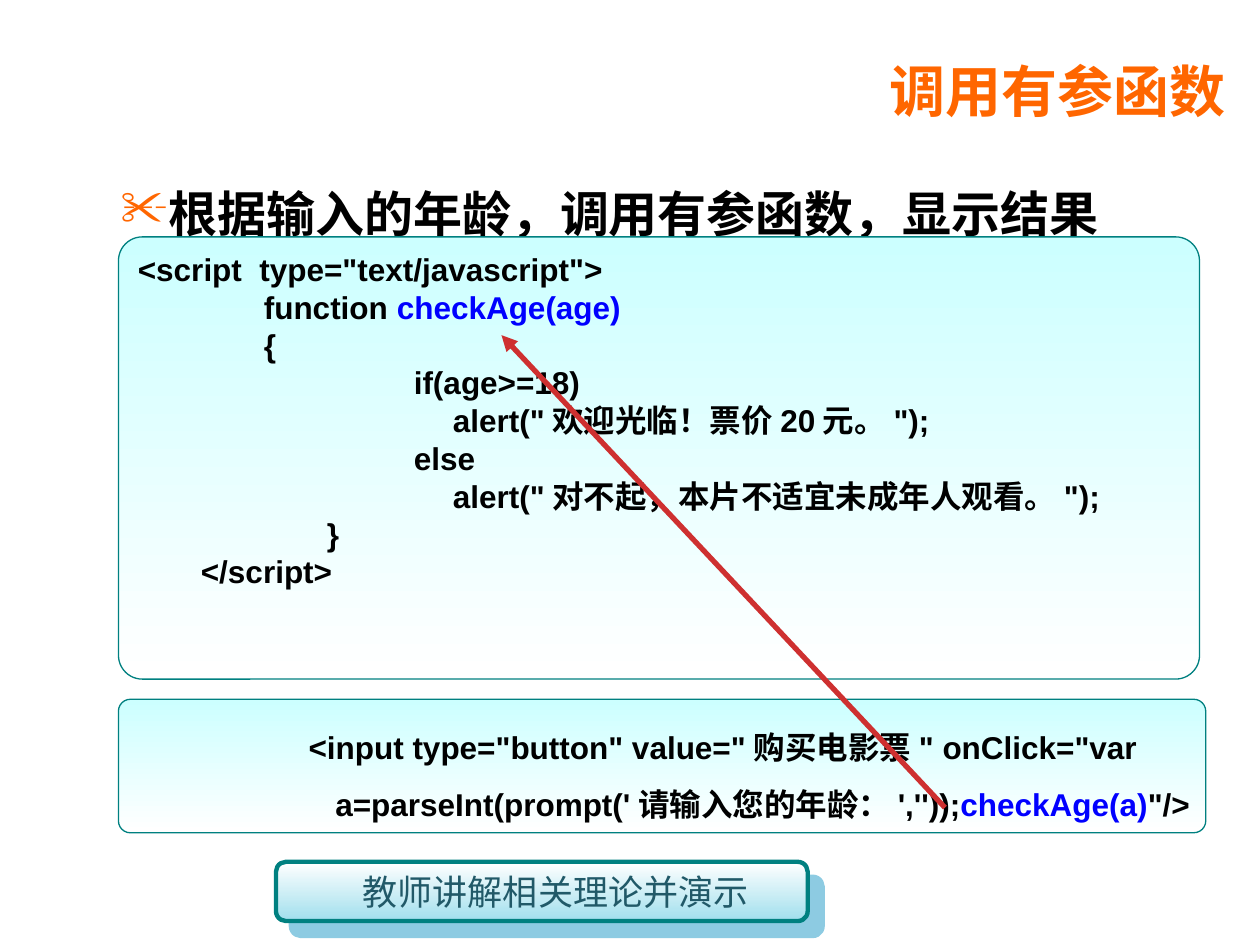
from dataclasses import dataclass

from lxml.etree import SubElement
from pptx import Presentation
from pptx.dml.color import RGBColor
from pptx.enum.shapes import MSO_CONNECTOR, MSO_SHAPE
from pptx.enum.text import MSO_ANCHOR, PP_ALIGN
from pptx.oxml.ns import qn
from pptx.util import Inches, Pt

COLORS = {
    "orange": "FF6600", "black": "000000", "blue": "0000FF",
    "aqua": "CCFFFF", "white": "FFFFFF", "teal": "008080",
    "red": "CE3030", "sky": "A1DFED", "shadow": "1C99C6", "slate": "215968",
}
LATIN, CJK = "Arial", "Noto Sans CJK SC"


@dataclass(frozen=True)
class Line:
    runs: tuple[tuple[str, str], ...]
    indent: float = 0
    right: float = 0


@dataclass(frozen=True)
class CodeBox:
    left: float
    top: float
    width: float
    height: float
    radius: float
    lines: tuple[Line, ...]
    align: PP_ALIGN
    anchor: MSO_ANCHOR
    spacing: float | Pt


def code(text: str, indent: float = 0, call: str = "", tail: str = "",
         right: float = 0) -> Line:
    runs = ((text, "black"), (call, "blue"), (tail, "black"))
    return Line(tuple(run for run in runs if run[0]), indent, right)


CODE_BOXES = (
    CodeBox(0.94, 1.88, 8.58, 3.51, 0.054, (
        code('<script  type="text/javascript">'),
        code("function ", 1, "checkAge(age)"),
        code("{", 1),
        code("if(age>=18)", 2.19),
        code('alert("欢迎光临！票价20元。");', 2.5),
        code("else", 2.19),
        code('alert("对不起，本片不适宜未成年人观看。");', 2.5),
        code("}", 1.5),
        code("</script>", 0.5),
    ), PP_ALIGN.LEFT, MSO_ANCHOR.TOP, Pt(21.6)),
    CodeBox(0.94, 5.55, 8.63, 1.06, 0.09, (
        code('<input type="button" value="购买电影票" onClick="var', right=0.42),
        code("a=parseInt(prompt('请输入您的年龄：',''));", 0, "checkAge(a)", '"/>'),
    ), PP_ALIGN.RIGHT, MSO_ANCHOR.MIDDLE, 1.5),
)


def rgb(name: str) -> RGBColor:
    return RGBColor.from_string(COLORS[name])


def add_run(p, text: str, size: float, color: str, bold: bool = True,
            font: str = LATIN) -> None:
    r = p.add_run()
    r.text = text
    r.font.size, r.font.bold, r.font.name = Pt(size), bold, font
    r.font.color.rgb = rgb(color)
    SubElement(r.font._element, qn("a:ea"), typeface=CJK)


def style_panel(sp, top: str, bottom: str, line_width: float) -> None:
    sp.shadow.inherit = False
    sp.fill.gradient()
    sp.fill.gradient_angle = 270
    for stop, color in zip(sp.fill.gradient_stops, (top, bottom)):
        stop.color.rgb = rgb(color)
    sp.line.color.rgb = rgb("teal")
    sp.line.width = Pt(line_width)


def add_text_box(shapes, left: float, top: float, width: float, height: float):
    tf = shapes.add_textbox(Inches(left), Inches(top), Inches(width),
                            Inches(height)).text_frame
    tf.word_wrap = True
    return tf.paragraphs[0]


def add_code_box(s, box: CodeBox) -> None:
    sp = s.shapes.add_shape(MSO_SHAPE.ROUNDED_RECTANGLE, Inches(box.left),
                            Inches(box.top), Inches(box.width), Inches(box.height))
    sp.adjustments[0] = box.radius
    style_panel(sp, "aqua", "white", 0.75)
    tf = sp.text_frame
    tf.word_wrap = True
    tf.vertical_anchor = box.anchor
    for i, line in enumerate(box.lines):
        p = tf.add_paragraph() if i else tf.paragraphs[0]
        p.alignment, p.line_spacing = box.align, box.spacing
        pPr = p._p.get_or_add_pPr()
        pPr.set("marL", str(Inches(line.indent)))
        pPr.set("marR", str(Inches(line.right)))
        for text, color in line.runs:
            add_run(p, text, 18, color)


def add_title(s) -> None:
    title = s.shapes.title
    title.left, title.top = Inches(0.83), Inches(0.36)
    title.width, title.height = Inches(9), Inches(0.71)
    tf = title.text_frame
    tf.vertical_anchor = MSO_ANCHOR.MIDDLE
    p = tf.paragraphs[0]
    p.alignment = PP_ALIGN.RIGHT
    add_run(p, "调用有参函数", 32, "orange", font=CJK)


def add_task(s) -> None:
    p = add_text_box(s.shapes, 0.86, 1.17, 8.52, 2.03)
    p.line_spacing = 1.5
    pPr = p._p.get_or_add_pPr()
    pPr.set("marL", str(Inches(0.38)))
    pPr.set("indent", str(Inches(-0.38)))
    SubElement(SubElement(pPr, qn("a:buClr")), qn("a:srgbClr"), val=COLORS["orange"])
    SubElement(pPr, qn("a:buChar"), char="✂")
    add_run(p, "根据输入的年龄，调用有参函数，显示结果", 28, "black")


def add_call_arrow(s) -> None:
    arrow = s.shapes.add_connector(MSO_CONNECTOR.STRAIGHT, Inches(7.5), Inches(6.41),
                                   Inches(3.98), Inches(2.66))
    arrow.line.color.rgb = rgb("red")
    arrow.line.width = Pt(3)
    SubElement(arrow.line._get_or_add_ln(), qn("a:tailEnd"), type="triangle")
    SubElement(arrow._element.spPr, qn("a:effectLst"))


def add_caption(s) -> None:
    group = s.shapes.add_group_shape()
    sp = group.shapes.add_shape(MSO_SHAPE.FLOWCHART_ALTERNATE_PROCESS, Inches(2.19),
                                Inches(6.84), Inches(4.22), Inches(0.47))
    style_panel(sp, "white", "sky", 2.5)
    effects = sp._element.spPr.find(qn("a:effectLst"))
    shadow = SubElement(effects, qn("a:outerShdw"), dist=str(Pt(12.1)),
                        dir="2700000", algn="ctr", rotWithShape="0")
    tint = SubElement(shadow, qn("a:srgbClr"), val=COLORS["shadow"])
    SubElement(tint, qn("a:alpha"), val="50000")
    p = add_text_box(group.shapes, 2.64, 6.86, 3.54, 0.44)
    p.alignment = PP_ALIGN.CENTER
    add_run(p, "教师讲解相关理论并演示", 20, "slate", bold=False)


def main() -> None:
    prs = Presentation()
    prs.slide_width, prs.slide_height = Inches(10), Inches(7.5)
    s = prs.slides.add_slide(prs.slide_layouts[5])
    add_title(s)
    add_task(s)
    for box in CODE_BOXES:
        add_code_box(s, box)
    add_call_arrow(s)
    add_caption(s)
    prs.save("out.pptx")


if __name__ == "__main__":
    main()
